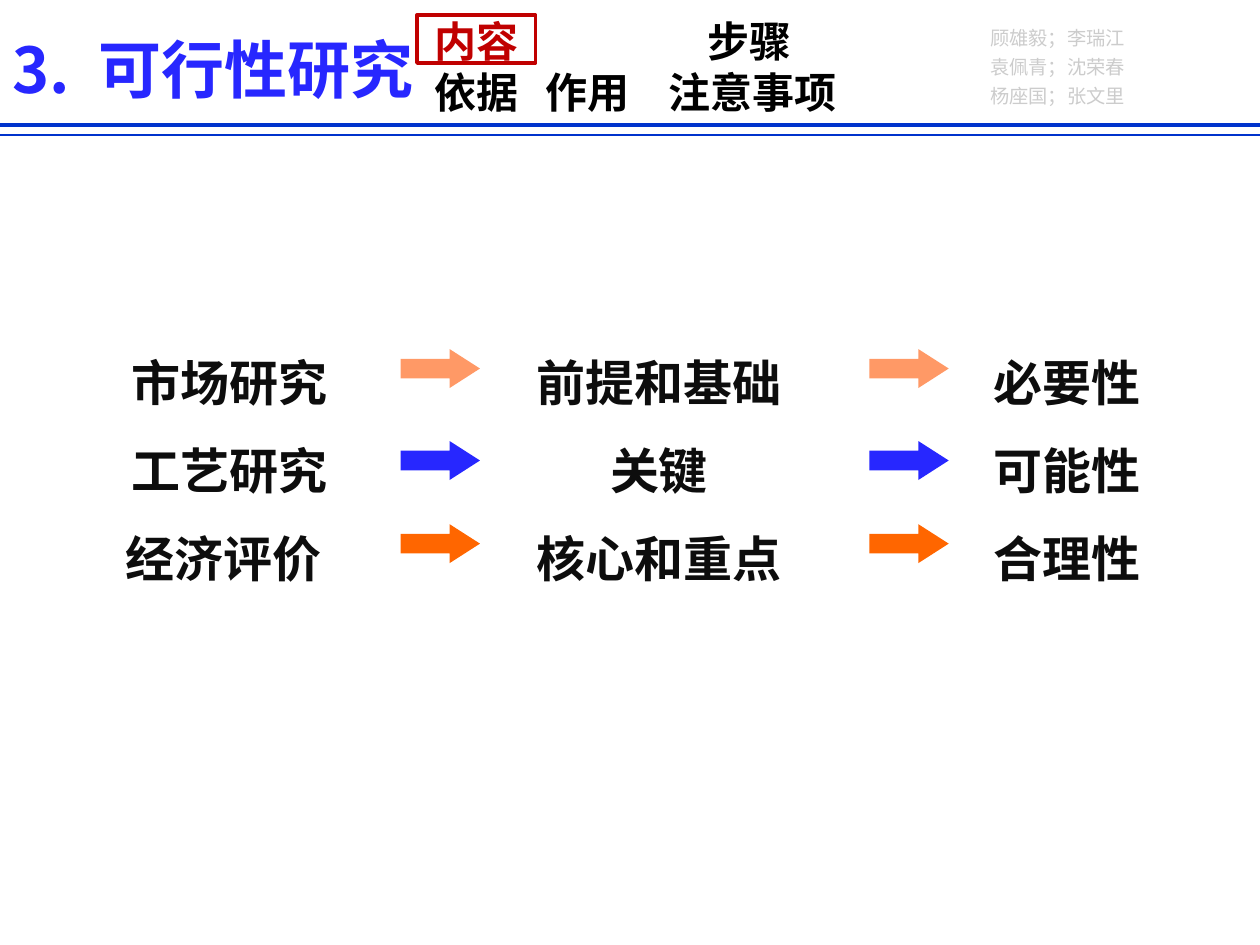
from dataclasses import dataclass

from lxml.etree import SubElement
from pptx import Presentation
from pptx.dml.color import RGBColor
from pptx.enum.shapes import MSO_CONNECTOR as Connector, MSO_SHAPE as Shape
from pptx.enum.text import MSO_AUTO_SIZE as AutoSize, PP_ALIGN as Align
from pptx.oxml.ns import qn
from pptx.util import Inches, Pt


@dataclass(frozen=True)
class Theme:
    font: str = "Noto Sans CJK SC"
    blue: str = "2727FF"
    rule: str = "0033CC"
    red: str = "C00000"
    black: str = "000000"
    ink: str = "0D0D0D"
    grey: str = "CCCCCC"
    peach: str = "FF9966"
    orange: str = "FF6600"
    title_size: float = 36
    topic_size: float = 24
    body_size: float = 28
    author_size: float = 11
    title_pitch: float = 46
    topic_pitch: float = 29
    body_pitch: float = 50.3
    author_pitch: float = 16.6


THEME = Theme()


def apply(target, values):
    for name, value in values.items():
        setattr(target, name, value)


def add_tabs(para, stops):
    tab_list = SubElement(para._p.get_or_add_pPr(), qn("a:tabLst"))
    for stop in stops:
        SubElement(tab_list, qn("a:tab"), pos=str(Inches(stop)), algn="l")


def add_span(para, text, size, color, bold):
    span = para.add_run()
    span.text = text
    apply(span.font, {"name": THEME.font, "size": Pt(size), "bold": bold})
    span.font.color.rgb = RGBColor.from_string(color)
    SubElement(span._r.get_or_add_rPr(), qn("a:ea"), typeface=THEME.font)


def add_text(page, place, lines, size, pitch, align=Align.LEFT, bold=True, tabs=()):
    box = page.shapes.add_textbox(*map(Inches, place))
    frame = box.text_frame
    apply(frame, {"word_wrap": True, "auto_size": AutoSize.NONE})
    for index, line in enumerate(lines):
        para = frame.add_paragraph() if index else frame.paragraphs[0]
        apply(para, {"alignment": align, "line_spacing": Pt(pitch)})
        if tabs:
            add_tabs(para, tabs[index])
        for text, color in line:
            add_span(para, text, size, color, bold)


def add_rule(page, top, width):
    rule = page.shapes.add_connector(
        Connector.STRAIGHT, 0, Inches(top), Inches(10), Inches(top))
    rule.line.width = Pt(width)
    rule.line.color.rgb = RGBColor.from_string(THEME.rule)
    SubElement(rule._element.spPr, qn("a:effectLst"))


def add_arrow(page, left, top, color):
    arrow = page.shapes.add_shape(
        Shape.RIGHT_ARROW, *map(Inches, (left, top, 0.63, 0.31)))
    arrow.shadow.inherit = False
    arrow.adjustments[1] = 0.78
    arrow.fill.solid()
    arrow.fill.fore_color.rgb = RGBColor.from_string(color)
    arrow.line.fill.background()


def add_highlight(page, place):
    frame = page.shapes.add_shape(Shape.RECTANGLE, *map(Inches, place))
    frame.shadow.inherit = False
    frame.fill.background()
    frame.line.width = Pt(2)
    frame.line.color.rgb = RGBColor.from_string(THEME.red)


def add_header(page):
    authors = ["顾雄毅；李瑞江", "袁佩青；沈荣春", "杨座国；张文里"]
    add_text(page, (7.76, 0.11, 1.42, 0.77), [[(name, THEME.grey)] for name in authors],
             THEME.author_size, THEME.author_pitch, Align.JUSTIFY, bold=False)
    add_rule(page, 0.99, 2.25)
    add_rule(page, 1.07, 1)
    add_text(page, (0, 0.15, 10, 0.71), [[("3.\t可行性研究", THEME.blue)]],
             THEME.title_size, THEME.title_pitch, tabs=[[0.68]])
    topics = [
        [("内容", THEME.red), ("\t步骤", THEME.black)],
        [("依据\t作用\t注意事项", THEME.black)],
    ]
    add_text(page, (3.35, 0.07, 3.86, 0.91), topics,
             THEME.topic_size, THEME.topic_pitch, tabs=[[2.17], [0.88, 1.86]])
    add_highlight(page, (3.31, 0.12, 0.94, 0.38))


def add_body(page):
    columns = [
        (0.52, 2.6, ["市场研究", "工艺研究", "经济评价 "]),
        (4.13, 2.2, ["前提和基础", "关键", "核心和重点"]),
        (7.52, 1.89, ["必要性", "可能性", "合理性"]),
    ]
    for left, width, words in columns:
        add_text(page, (left, 2.52, width, 2.14), [[(word, THEME.ink)] for word in words],
                 THEME.body_size, THEME.body_pitch, Align.CENTER)
    for top, color in [(2.77, THEME.peach), (3.5, THEME.blue), (4.16, THEME.orange)]:
        for left in (3.18, 6.9):
            add_arrow(page, left, top, color)


def main():
    deck = Presentation()
    apply(deck, {"slide_width": Inches(10), "slide_height": Inches(7.5)})
    page = deck.slides.add_slide(deck.slide_layouts[6])
    add_header(page)
    add_body(page)
    deck.save("out.pptx")


if __name__ == "__main__":
    main()
